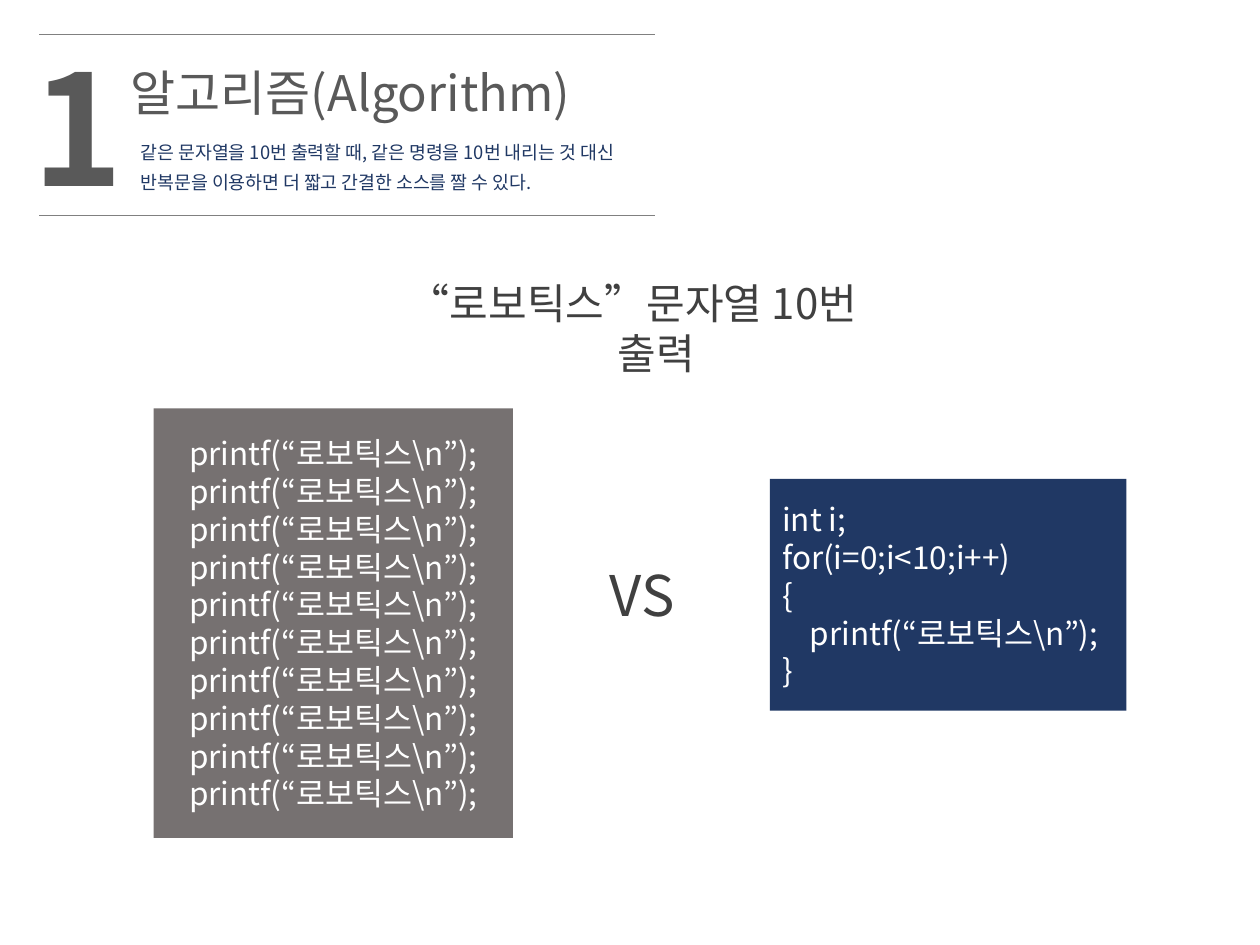
import pptx
import pptx.util
import pptx.dml.color
import pptx.enum.shapes
import pptx.enum.text
import pptx.oxml.ns
import lxml.etree

Inches = pptx.util.Inches
Pt = pptx.util.Pt
FONT = "Noto Sans CJK KR"
ALIGN = pptx.enum.text.PP_ALIGN
ANCHOR = pptx.enum.text.MSO_ANCHOR
FIT = pptx.enum.text.MSO_AUTO_SIZE.SHAPE_TO_FIT_TEXT
GREY, NAVY, DARK = "595959", "203864", "404040"
PRINT = "printf(“로보틱스\\n”);"


def color(code):
    """Turn a hex string into a colour."""
    return pptx.dml.color.RGBColor.from_string(code)


def apply(item, values):
    """Set each attribute of an item from a dict."""
    for name, value in values.items():
        setattr(item, name, value)


def style(par, size, code, bold=False):
    """Give the runs of a paragraph their font."""
    for run in par.runs:
        apply(run.font, {"name": FONT, "size": Pt(size), "bold": bold})
        run.font.color.rgb = color(code)
        tag = pptx.oxml.ns.qn("a:ea")
        lxml.etree.SubElement(run.font._element, tag, typeface=FONT)


def indent(par, left, first=0):
    """Set the left margin and first-line indent of a paragraph."""
    props = par._p.get_or_add_pPr()
    props.set("marL", str(Inches(left)))
    props.set("indent", str(Inches(first)))


def write(frame, lines, size, code, form, bold=False):
    """Write lines into a text frame and return the paragraphs."""
    frame.text = "\n".join(lines)
    for par in frame.paragraphs:
        apply(par, form)
        style(par, size, code, bold)
    return frame.paragraphs


def label(slide, box, lines, size, code, form=None, bold=False):
    """Place a text box with hanging paragraphs."""
    frame = slide.shapes.add_textbox(*map(Inches, box)).text_frame
    apply(frame, {"word_wrap": True, "auto_size": FIT})
    for par in write(frame, lines, size, code, form or {}, bold):
        indent(par, 0.38, -0.38)


def rule(slide, left, top, width):
    """Draw a thin level line."""
    ends = map(Inches, (left, top, left + width, top))
    kind = pptx.enum.shapes.MSO_CONNECTOR.STRAIGHT
    line = slide.shapes.add_connector(kind, *ends)
    line.line.color.rgb = color("808080")
    line.line.width = Pt(0.5)
    tag = pptx.oxml.ns.qn("a:effectLst")
    lxml.etree.SubElement(line._element.spPr, tag)


def panel(slide, box, fill, lines, align):
    """Place a filled code panel and return its paragraphs."""
    kind = pptx.enum.shapes.MSO_SHAPE.ROUNDED_RECTANGLE
    shape = slide.shapes.add_shape(kind, *map(Inches, box))
    shape.adjustments[0] = 0
    shape.shadow.inherit = False
    shape.fill.solid()
    shape.fill.fore_color.rgb = color(fill)
    shape.line.fill.background()
    frame = shape.text_frame
    form = {"word_wrap": True, "vertical_anchor": ANCHOR.MIDDLE,
            "margin_right": Inches(0.1 if align == ALIGN.CENTER else 0.05)}
    apply(frame, form)
    return write(frame, lines, 18, "FFFFFF", {"alignment": align})


def header(slide, box):
    """Build the numbered heading between two rules."""
    left, top, width, height = box
    label(slide, (left + 0.63, top + 0.18, 4.49, 0.57),
          ["알고리즘(Algorithm)"], 28, GREY)
    label(slide, (left + 0.71, top + 0.74, 4.57, 0.58),
          ["같은 문자열을 10번 출력할 때, 같은 명령을 10번 내리는 것 대신",
           "반복문을 이용하면 더 짧고 간결한 소스를 짤 수 있다."],
          10.5, NAVY, {"line_spacing": Pt(17)})
    label(slide, (left - 0.15, top - 0.06, 0.87, 1.58), ["1"], 88, GREY, bold=True)
    for edge in (top, top + height):
        rule(slide, left, edge, width)


def versus(slide, box):
    """Build the comparison of repeated calls and a loop."""
    left, top, width, height = box
    mid = {"alignment": ALIGN.CENTER}
    label(slide, (left + 1.91, top, 3.78, 0.5),
          ["“로보틱스”문자열 10번 출력"], 24, DARK, mid)
    label(slide, (left + 2.93, top + 2.25, 1.89, 0.64), ["VS"], 32, DARK, mid)
    panel(slide, (left, top + 1.09, 2.85, height - 1.09), "767171",
          [PRINT] * 10, ALIGN.CENTER)
    loop = ["int i;", "for(i=0;i<10;i++)", "{", PRINT, "}"]
    pars = panel(slide, (left + width - 2.83, top + 1.65, 2.83, 1.84),
                 NAVY, loop, ALIGN.LEFT)
    indent(pars[3], 0.22)


def main():
    """Build and save the slide."""
    deck = pptx.Presentation()
    apply(deck, {"slide_width": Inches(10), "slide_height": Inches(7.5)})
    slide = deck.slides.add_slide(deck.slide_layouts[6])
    header(slide, (0.31, 0.27, 4.89, 1.44))
    versus(slide, (1.22, 2.15, 7.72, 4.5))
    deck.save("out.pptx")


if __name__ == "__main__":
    main()
